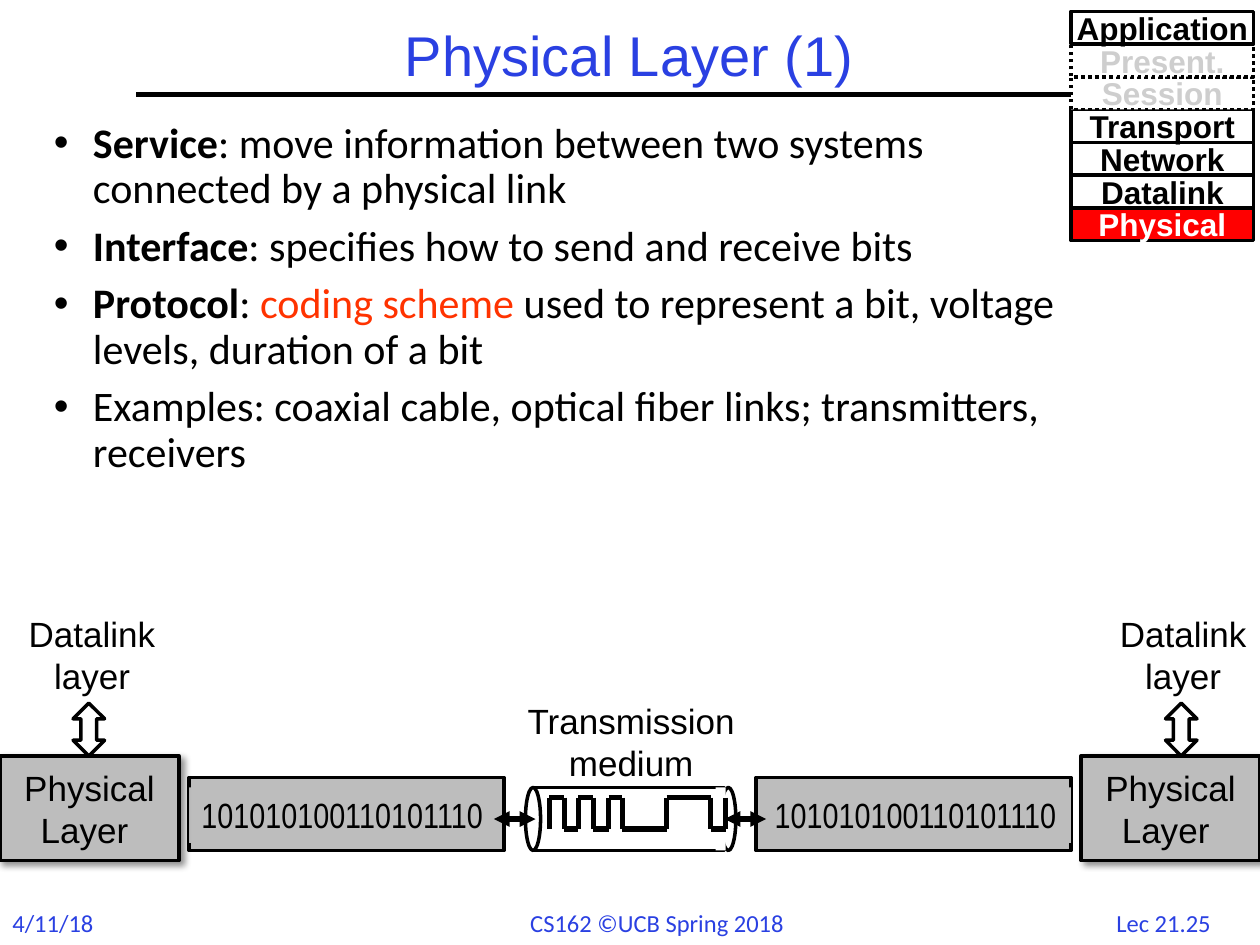
from itertools import pairwise

from lxml import etree
from pptx import Presentation
from pptx.dml.color import RGBColor
from pptx.enum.dml import MSO_LINE
from pptx.enum.shapes import MSO_CONNECTOR, MSO_SHAPE
from pptx.enum.text import MSO_ANCHOR, PP_ALIGN
from pptx.oxml.ns import qn
from pptx.util import Inches, Pt

RECT, OVAL, UP_DOWN = MSO_SHAPE.RECTANGLE, MSO_SHAPE.OVAL, MSO_SHAPE.UP_DOWN_ARROW
LEFT, CENTER = PP_ALIGN.LEFT, PP_ALIGN.CENTER
TOP, MIDDLE = MSO_ANCHOR.TOP, MSO_ANCHOR.MIDDLE
STRAIGHT, DOTTED = MSO_CONNECTOR.STRAIGHT, MSO_LINE.ROUND_DOT

THEME = {
    "blue": "2A40E2", "black": "000000", "white": "FFFFFF", "gray": "BDBDBD",
    "faded": "CECECE", "red": "FF0000", "accent": "FF3300",
    "sans": "Arial", "narrow": "Arial Narrow", "body": "Calibri",
    "title_size": 32, "body_size": 24, "label_size": 20, "stack_size": 18, "footer_size": 14,
}

TITLE = "Physical Layer (1)"
BULLETS = [
    [("Service", "bold"), (": move information between two systems \nconnected by a physical link", "")],
    [("Interface", "bold"), (": specifies how to send and receive bits", "")],
    [("Protocol", "bold"), (": ", ""), ("coding scheme", "accent"),
     (" used to represent a bit, voltage levels, duration of a bit", "")],
    [("Examples: coaxial cable, optical fiber links; transmitters, receivers", "")],
]
FOOTERS = [
    ("4/11/18", 0, 1, LEFT),
    ("CS162 ©UCB Spring 2018", 4.11, 2.3, LEFT),
    ("Lec 21.25", 8.72, 1.03, CENTER),
]
STACK = [
    ("Application", "solid"), ("Present.", "unused"), ("Session", "unused"),
    ("Transport", "solid"), ("Network", "solid"), ("Datalink", "solid"), ("Physical", "current"),
]
STACK_STYLES = {"solid": ("white", "black"), "unused": ("white", "faded"), "current": ("red", "white")}
BITS = "101010100110101110"
HOSTS = [
    {"layer": 0, "datalink": 0.12, "arrow": 0.58, "frame": 1.5, "bits": 1.5},
    {"layer": 8.58, "datalink": 8.78, "arrow": 9.25, "frame": 6, "bits": 6.05},
]
SIGNAL_EDGES = [4.36, 4.48, 4.59, 4.71, 4.83, 4.94, 5.29, 5.64, 5.76]
SIGNAL_HIGH, SIGNAL_LOW = 6.33, 6.58
LINKS = [3.92, 5.75]


def color(name):
    return RGBColor.from_string(THEME[name])


def add_run(p, text, font, size, ink="black", bold=False):
    r = p.add_run()
    r.text = text
    r.font.name, r.font.size, r.font.bold = THEME[font], Pt(THEME[size]), bold
    r.font.color.rgb = color(ink)


def write(sp, text, font="sans", size="label_size", ink="black", bold=False,
          align=CENTER, anchor=MIDDLE, wrap=False):
    tf = sp.text_frame
    tf.word_wrap, tf.vertical_anchor = wrap, anchor
    for i, line in enumerate(text.split("\n")):
        p = tf.paragraphs[0] if i == 0 else tf.add_paragraph()
        p.alignment = align
        add_run(p, line, font, size, ink, bold)


def add_label(shapes, box, text, **style):
    write(shapes.add_textbox(*map(Inches, box)), text, anchor=TOP, **style)


def add_block(shapes, kind, box, fill="white", outlined=True):
    sp = shapes.add_shape(kind, *map(Inches, box))
    sp.shadow.inherit = False
    sp.fill.solid()
    sp.fill.fore_color.rgb = color(fill)
    if outlined:
        sp.line.color.rgb = color("black")
        sp.line.width = Pt(2)
    else:
        sp.line.fill.background()
    return sp


def add_line(shapes, start, end, arrows=False):
    c = shapes.add_connector(STRAIGHT, *map(Inches, (*start, *end)))
    c.line.color.rgb = color("black")
    c.line.width = Pt(3)
    if arrows:
        for tag in ("a:headEnd", "a:tailEnd"):
            etree.SubElement(c.line._get_or_add_ln(), qn(tag), type="triangle")
    etree.SubElement(c._element.spPr, qn("a:effectLst"))


def add_shadow(sp):
    effects = sp._element.spPr.find(qn("a:effectLst"))
    shadow = etree.SubElement(effects, qn("a:outerShdw"), blurRad=str(Pt(4)), dist=str(Pt(3)),
                              dir="2700000", algn="ctr", rotWithShape="0")
    ink = etree.SubElement(shadow, qn("a:srgbClr"), val=THEME["black"])
    etree.SubElement(ink, qn("a:alpha"), val="43000")


def add_title(s):
    title = s.shapes.title
    title.left, title.top, title.width, title.height = map(Inches, (1.08, 0.17, 7.83, 0.58))
    write(title, TITLE, size="title_size", ink="blue", wrap=True)
    title.text_frame.paragraphs[0].line_spacing = 0.9
    add_line(s.shapes, (1.08, 0.75), (8.92, 0.75))


def add_bullets(s):
    tf = s.shapes.add_textbox(*map(Inches, (0.33, 0.92, 8.67, 3.75))).text_frame
    tf.word_wrap = True
    for i, parts in enumerate(BULLETS):
        p = tf.paragraphs[0] if i == 0 else tf.add_paragraph()
        p.line_spacing = 0.9
        p.space_before = Pt(7 if i else 0)
        pPr = p._p.get_or_add_pPr()
        pPr.set("marL", str(Inches(0.31)))
        pPr.set("indent", str(Inches(-0.31)))
        etree.SubElement(pPr, qn("a:buFont"), typeface=THEME["sans"])
        etree.SubElement(pPr, qn("a:buChar"), char="•")
        for text, style in parts:
            ink = "accent" if style == "accent" else "black"
            for n, line in enumerate(text.split("\n")):
                if n:
                    p.add_line_break()
                add_run(p, line, "body", "body_size", ink, style == "bold")


def add_stack(s):
    for i, (name, state) in reversed(list(enumerate(STACK))):
        fill, ink = STACK_STYLES[state]
        sp = add_block(s.shapes, RECT, (8.5, 0.09 + 0.26 * i, 1.45, 0.26), fill)
        if state == "unused":
            sp.line.dash_style = DOTTED
        write(sp, name, size="stack_size", ink=ink, bold=True)


def add_host(s, host):
    add_block(s.shapes, RECT, (host["frame"], 6.17, 2.5, 0.58), "gray")
    bits = add_block(s.shapes, RECT, (host["bits"], 6.25, 2.45, 0.44), "gray", outlined=False)
    write(bits, BITS, font="narrow", align=LEFT, anchor=TOP)
    layer = add_block(s.shapes, RECT, (host["layer"], 6, 1.42, 0.83), "gray")
    add_shadow(layer)
    write(layer, "Physical Layer ", wrap=True)
    add_label(s.shapes, (host["datalink"], 4.81, 1.22, 0.77), "Datalink \nlayer")
    add_block(s.shapes, UP_DOWN, (host["arrow"], 5.58, 0.25, 0.42))


def add_medium(s):
    add_label(s.shapes, (4.08, 5.5, 1.86, 0.77), "Transmission \nmedium")
    cable = s.shapes.add_group_shape().shapes
    add_block(cable, RECT, (4.24, 6.25, 1.51, 0.5))
    for x in (4.17, 5.72):
        add_block(cable, OVAL, (x, 6.25, 0.12, 0.5))
    add_block(cable, RECT, (5.68, 6.25, 0.08, 0.5), outlined=False)
    for x in SIGNAL_EDGES:
        add_line(cable, (x, SIGNAL_HIGH), (x, SIGNAL_LOW))
    for i, (x, following) in enumerate(pairwise(SIGNAL_EDGES)):
        y = SIGNAL_LOW if i % 2 else SIGNAL_HIGH
        add_line(cable, (x, y), (following, y))
    for x in LINKS:
        add_line(s.shapes, (x, 6.5), (x + 0.33, 6.5), arrows=True)


def main():
    prs = Presentation()
    prs.slide_width, prs.slide_height = Inches(10), Inches(7.5)
    s = prs.slides.add_slide(prs.slide_layouts[5])
    add_title(s)
    for text, left, width, align in FOOTERS:
        add_label(s.shapes, (left, 7.16, width, 0.34), text, font="body",
                  size="footer_size", ink="blue", align=align)
    add_bullets(s)
    add_stack(s)
    for host in HOSTS:
        add_host(s, host)
    add_medium(s)
    prs.save("out.pptx")


if __name__ == "__main__":
    main()
